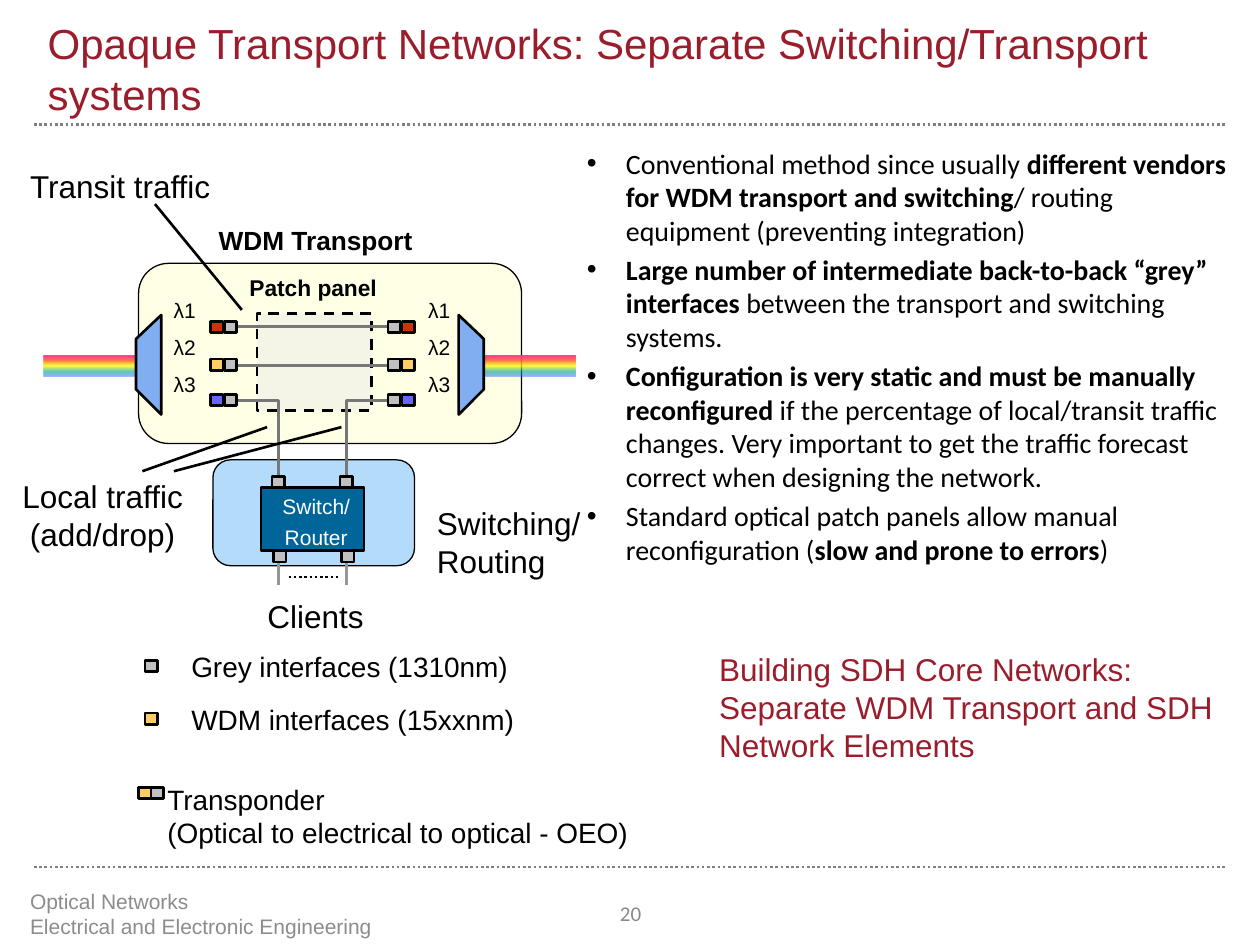
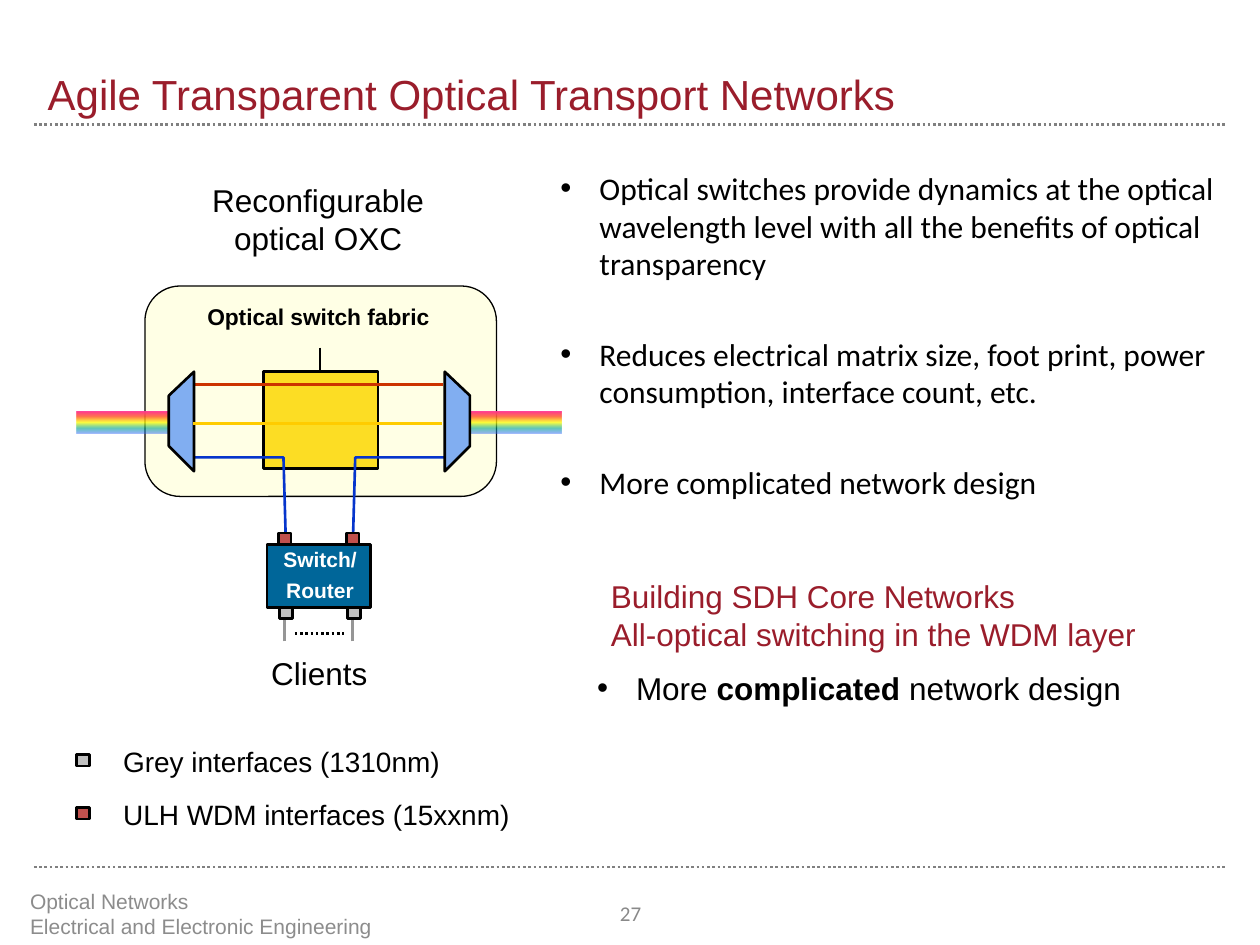
from lxml import etree
from pptx import Presentation
from pptx.dml.color import RGBColor
from pptx.enum.dml import MSO_LINE
from pptx.enum.shapes import MSO_CONNECTOR, MSO_SHAPE
from pptx.enum.text import MSO_ANCHOR, PP_ALIGN
from pptx.oxml import parse_xml
from pptx.oxml.ns import qn
from pptx.util import Inches, Pt

BLACK, WHITE, RED = "000000", "FFFFFF", "9A1D2B"
GREY, AMBER, VIOLET, ORANGE = "C0C0C0", "FFCC66", "6666FF", "CC3300"
WIRE, CLIENT_WIRE, BLUE_WIRE, ULH = "777777", "969696", "0635CC", "C0504D"
CENTER, MIDDLE = PP_ALIGN.CENTER, MSO_ANCHOR.MIDDLE
DRAWING = "http://schemas.openxmlformats.org/drawingml/2006/main"
RAINBOW = [(0, "FF3399", 100), (25, "FF6633", 88), (50, "FFFF00", 75),
           (75, "01A78F", 62), (100, "3366FF", 50)]
LABEL_INSETS = (0.1, 0.05)
CLIENT_INSETS = (0.04, 0)


def rgb(color):
    """Turn a hex string into a colour."""
    return RGBColor.from_string(color)


def set_outline(line, color, width=1.5, dash=None):
    """Give a line its colour, width and dash."""
    line.color.rgb = rgb(color)
    line.width = Pt(width)
    if dash:
        line.dash_style = dash


def add_line(slide, start, end, color=BLACK, dash=None):
    """Draw a straight line between two points."""
    line = slide.shapes.add_connector(MSO_CONNECTOR.STRAIGHT, *map(Inches, start + end))
    set_outline(line.line, color, dash=dash)
    etree.SubElement(line._element.spPr, qn("a:effectLst"))


def add_box(slide, at, fill, kind=MSO_SHAPE.RECTANGLE, alpha=None, width=1.5, dash=None):
    """Draw a filled, outlined preset shape."""
    box = slide.shapes.add_shape(kind, *map(Inches, at))
    box.shadow.inherit = False
    box.fill.solid()
    box.fill.fore_color.rgb = rgb(fill)
    if alpha:
        color = box._element.spPr.find(".//" + qn("a:srgbClr"))
        etree.SubElement(color, qn("a:alpha"), val=str(alpha * 1000))
    set_outline(box.line, BLACK, width, dash)


def add_area(slide, at, fill):
    """Draw a half-transparent rounded area."""
    add_box(slide, at, fill, MSO_SHAPE.ROUNDED_RECTANGLE, alpha=50, width=0.75)


def add_outline(slide, points, color=BLACK, fill=None):
    """Draw a closed filled outline, or an open path when there is no fill."""
    start, *rest = [tuple(map(Inches, point)) for point in points]
    builder = slide.shapes.build_freeform(*start)
    builder.add_line_segments(rest, close=fill is not None)
    outline = builder.convert_to_shape()
    outline.shadow.inherit = False
    if fill:
        outline.fill.solid()
        outline.fill.fore_color.rgb = rgb(fill)
    else:
        outline.fill.background()
    set_outline(outline.line, color)


def add_fibre(slide, left, top):
    """Draw a fibre carrying the rainbow of wavelengths."""
    fibre = slide.shapes.add_shape(
        MSO_SHAPE.RECTANGLE, Inches(left), Inches(top), Inches(0.73), Inches(0.17))
    fibre.shadow.inherit = False
    fibre.line.fill.background()
    stops = "".join(
        f'<a:gs pos="{pos * 1000}"><a:srgbClr val="{color}">'
        f'<a:alpha val="{alpha * 1000}"/></a:srgbClr></a:gs>'
        for pos, color, alpha in RAINBOW)
    gradient = parse_xml(
        f'<a:gradFill xmlns:a="{DRAWING}" rotWithShape="1"><a:gsLst>{stops}</a:gsLst>'
        '<a:lin ang="5400000" scaled="1"/></a:gradFill>')
    fibre._element.spPr.find(qn("a:prstGeom")).addnext(gradient)


def add_frame(slide, at, insets=LABEL_INSETS, anchor=MSO_ANCHOR.TOP):
    """Add an empty wrapping text box and return its text frame."""
    frame = slide.shapes.add_textbox(*map(Inches, at)).text_frame
    frame.word_wrap = True
    frame.vertical_anchor = anchor
    frame.margin_left = frame.margin_right = Inches(insets[0])
    frame.margin_top = frame.margin_bottom = Inches(insets[1])
    return frame


def style_run(run, size, color=BLACK, bold=False, font="Arial"):
    """Format one run."""
    run.font.size = Pt(size)
    run.font.name = font
    run.font.bold = bold
    run.font.color.rgb = rgb(color)


def add_text(slide, at, text, size, color=BLACK, bold=False, font="Arial", align=None,
             anchor=MSO_ANCHOR.TOP, insets=LABEL_INSETS, spacing=None):
    """Add a text box with one style throughout."""
    frame = add_frame(slide, at, insets, anchor)
    frame.text = text
    for paragraph in frame.paragraphs:
        paragraph.alignment = align
        paragraph.line_spacing = spacing
        for run in paragraph.runs:
            style_run(run, size, color, bold, font)


def add_bullets(slide, at, items, size, gap=0, font="Calibri"):
    """Add a bulleted list in which *stars* enclose bold words."""
    frame = add_frame(slide, at)
    for index, item in enumerate(items):
        paragraph = frame.add_paragraph() if index else frame.paragraphs[0]
        paragraph.level = 1
        if index:
            paragraph.space_before = Pt(gap)
        properties = paragraph._p.get_or_add_pPr()
        properties.set("marL", str(Inches(0.81)))
        properties.set("indent", str(Inches(-0.31)))
        etree.SubElement(properties, qn("a:buFont"), typeface="Arial")
        etree.SubElement(properties, qn("a:buChar"), char="•")
        for part, words in enumerate(item.split("*")):
            if words:
                run = paragraph.add_run()
                run.text = words
                style_run(run, size, bold=part % 2 == 1, font=font)


def add_port(slide, left, top, color=GREY):
    """Draw one interface port."""
    add_box(slide, (left, top, 0.1, 0.09), color)


def add_legend(slide, left, top, entries):
    """List ports with their meaning, one under another."""
    for row, (color, meaning) in enumerate(entries):
        y = top + 0.42 * row
        add_port(slide, left, y, color)
        add_text(slide, (left + 0.27, y - 0.13, 4.53, 0.37), meaning, 16)


def add_terminals(slide, left, right, top):
    """Draw both fibres and the multiplexers they end in."""
    for narrow, fibre, depth in ((left, left - 0.73, 0.2), (right, right, -0.2)):
        add_fibre(slide, fibre, top + 0.32)
        wide = narrow + depth
        add_outline(slide, [(wide, top + 0.79), (narrow, top + 0.59),
                            (narrow, top + 0.19), (wide, top)], fill="81AEF1")


def add_router(slide, left, top, port_color, label_at, bold=False):
    """Draw the switch/router with its ports and clients."""
    for x in (left + 0.1, left + 0.64):
        add_line(slide, (x + 0.04, top + 0.77), (x + 0.04, top + 0.58), CLIENT_WIRE)
        add_port(slide, x, top + 0.5)
        add_port(slide, x - 0.01, top - 0.09, port_color)
    add_line(slide, (left + 0.22, top + 0.71), (left + 0.61, top + 0.71),
             dash=MSO_LINE.ROUND_DOT)
    add_box(slide, (left, top, 0.82, 0.5), "006699")
    add_text(slide, (*label_at, 1.08, 0.58), "Switch/ Router", 12, WHITE, bold,
             align=CENTER, anchor=MIDDLE, spacing=1.2)
    add_text(slide, (label_at[0] + 0.03, top + 0.87, 1.01, 0.23), "Clients", 18,
             align=CENTER, insets=CLIENT_INSETS)


def new_slide(deck, title, number):
    """Add a slide with its title, rules, footer and number."""
    slide = deck.slides.add_slide(deck.slide_layouts[6])
    for y in (0.99, 6.88):
        add_line(slide, (0.27, y), (9.73, y), "808080", MSO_LINE.ROUND_DOT)
    add_text(slide, (0.28, 0, 9.45, 0.99), title, 24, RED, anchor=MSO_ANCHOR.BOTTOM)
    add_text(slide, (0.14, 7.05, 4.23, 0.4),
             "Optical Networks\nElectrical and Electronic Engineering",
             12, "8C8C8C", anchor=MIDDLE)
    add_text(slide, (4.61, 7.05, 0.79, 0.4), str(number), 12, "898989",
             font="Calibri", align=CENTER, anchor=MIDDLE)
    return slide


def build_opaque(deck):
    """Build the slide on opaque networks."""
    slide = new_slide(
        deck, "Opaque Transport Networks: Separate Switching/Transport systems", 20)
    add_bullets(slide, (4.06, 1.11, 5.79, 5.35), [
        "Conventional method since usually *different vendors for WDM transport and "
        "switching*/ routing equipment (preventing integration)",
        "*Large number of intermediate back-to-back “grey” interfaces* between the "
        "transport and switching systems.",
        "*Configuration is very static and must be manually reconfigured* if the "
        "percentage of local/transit traffic changes. Very important to get the traffic "
        "forecast correct when designing the network.",
        "Standard optical patch panels allow manual reconfiguration "
        "(*slow and prone to errors*)",
    ], 16, gap=3.2)

    add_area(slide, (1.1, 2.09, 3.04, 1.43), "FFFFCC")
    add_area(slide, (1.69, 3.65, 1.6, 0.84), "6BBBF7")
    add_box(slide, (2.04, 2.49, 0.91, 0.77), "EAEAEA", alpha=50, dash=MSO_LINE.DASH)
    add_terminals(slide, 1.08, 3.84, 2.5)
    for y in (2.59, 2.9):
        add_line(slide, (1.88, y), (3.07, y), WIRE)
    for drop, end in ((2.21, 1.89), (2.75, 3.07)):
        add_outline(slide, [(drop, 3.88), (drop, 3.18), (end, 3.18)], WIRE)
    channels = [(2.55, 2.31, ORANGE), (2.85, 2.61, AMBER), (3.13, 2.9, VIOLET)]
    for number, (port_top, label_top, color) in enumerate(channels, 1):
        for wdm, grey, label in ((1.67, 1.78, 1.28), (3.19, 3.08, 3.3)):
            add_port(slide, grey, port_top)
            add_port(slide, wdm, port_top, color)
            add_text(slide, (label, label_top, 0.44, 0.3), f"λ{number}", 12)
    add_router(slide, 2.07, 3.87, GREY, (1.97, 3.83))

    add_text(slide, (1.75, 2.12, 1.47, 0.32), "Patch panel", 13, bold=True, align=CENTER)
    add_text(slide, (1.53, 1.73, 1.95, 0.35), "WDM Transport", 15, bold=True, align=CENTER)
    add_text(slide, (0.14, 1.28, 2.18, 0.33), "Transit traffic", 18)
    add_text(slide, (-0.05, 3.74, 1.73, 0.57), "Local traffic (add/drop)", 18, align=CENTER)
    add_text(slide, (3.37, 3.95, 1.94, 0.33), "Switching/ Routing", 18)
    for target, label in (((1.92, 2.46), (1.23, 1.62)), ((2.12, 3.39), (1.13, 3.74)),
                          ((2.71, 3.39), (1.38, 3.74))):
        add_line(slide, target, label)

    add_legend(slide, 1.15, 5.24, [(GREY, "Grey interfaces (1310nm)"),
                                   (AMBER, "WDM interfaces (15xxnm)")])
    add_port(slide, 1.1, 6.25, AMBER)
    add_port(slide, 1.2, 6.25)
    add_text(slide, (1.23, 6.16, 6.06, 0.64),
             "Transponder\n(Optical to electrical to optical - OEO)", 16)
    add_text(slide, (5.61, 5.11, 4.24, 1.11),
             "Building SDH Core Networks:\nSeparate WDM Transport and SDH Network Elements",
             18, RED)


def build_transparent(deck):
    """Build the slide on transparent networks."""
    slide = new_slide(deck, "Agile Transparent Optical Transport Networks", 27)
    add_area(slide, (1.15, 2.27, 2.79, 1.67), "FFFFCC")
    add_bullets(slide, (3.85, 1.29, 6.16, 5.12), [
        "Optical switches provide dynamics at the optical wavelength level with all the "
        "benefits of optical transparency",
        "Reduces electrical matrix size, foot print, power consumption, interface count, etc.",
        "More complicated network design",
    ], 18, gap=30)

    add_box(slide, (2.09, 2.95, 0.91, 0.77), "FCDD24")
    add_line(slide, (2.54, 2.76), (2.54, 2.96))
    for drop, bend, end in ((2.27, 2.25, 1.54), (2.8, 2.82, 3.53)):
        add_outline(slide, [(drop, 4.34), (bend, 3.63), (end, 3.63)], BLUE_WIRE)
    add_line(slide, (1.54, 3.05), (3.52, 3.05), ORANGE)
    add_terminals(slide, 1.34, 3.73, 2.95)
    add_line(slide, (1.53, 3.36), (3.51, 3.36), "FFCC00")
    add_router(slide, 2.12, 4.32, ULH, (2, 4.25), bold=True)

    add_text(slide, (1.2, 2.35, 2.65, 0.32), "Optical switch fabric", 13, bold=True,
             align=CENTER)
    add_text(slide, (1.2, 1.39, 2.65, 0.34), "Reconfigurable optical OXC", 18, align=CENTER)
    add_legend(slide, 0.61, 5.99, [(GREY, "Grey interfaces (1310nm)"),
                                   (ULH, "ULH WDM interfaces (15xxnm)")])
    add_text(slide, (4.75, 4.53, 5, 0.81),
             "Building SDH Core Networks\nAll-optical switching in the WDM layer", 18, RED)
    add_bullets(slide, (4.14, 5.26, 5, 0.4), ["More *complicated* network design"], 18,
                font="Arial")


def main():
    """Build and save the deck."""
    deck = Presentation()
    deck.slide_width, deck.slide_height = Inches(10), Inches(7.5)
    build_opaque(deck)
    build_transparent(deck)
    deck.save("out.pptx")


if __name__ == "__main__":
    main()
